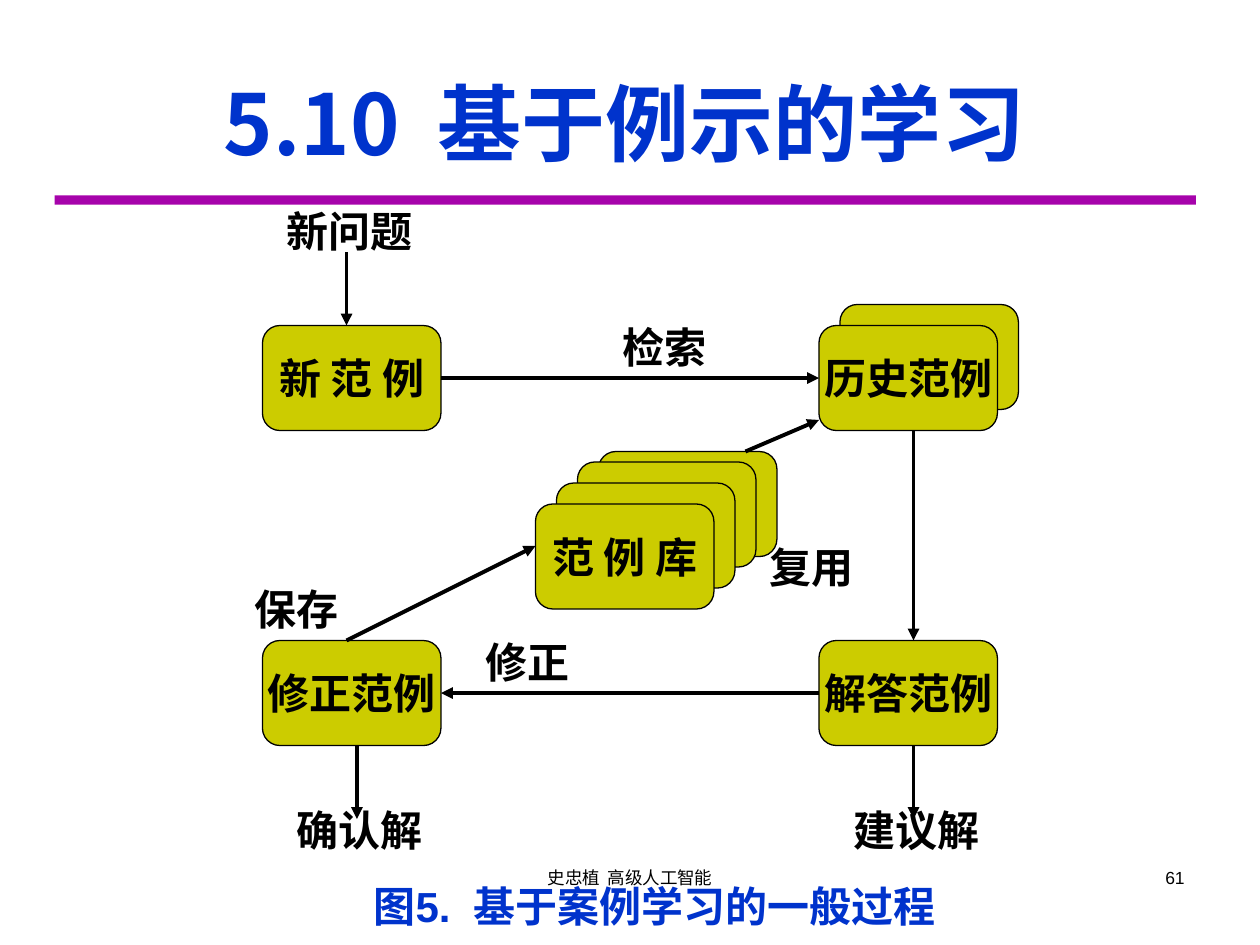
from lxml import etree
from pptx import Presentation
from pptx.dml.color import RGBColor
from pptx.enum.shapes import MSO_CONNECTOR, MSO_SHAPE
from pptx.enum.text import MSO_ANCHOR, MSO_AUTO_SIZE, PP_ALIGN
from pptx.oxml.ns import qn
from pptx.util import Emu, Pt

RECT = MSO_SHAPE.RECTANGLE
CARD = MSO_SHAPE.FLOWCHART_ALTERNATE_PROCESS
LINE = MSO_CONNECTOR.STRAIGHT
LEFT, MID, RIGHT = PP_ALIGN.LEFT, PP_ALIGN.CENTER, PP_ALIGN.RIGHT
MIDDLE, BOTTOM = MSO_ANCHOR.MIDDLE, MSO_ANCHOR.BOTTOM
FIXED, GROW = MSO_AUTO_SIZE.NONE, MSO_AUTO_SIZE.SHAPE_TO_FIT_TEXT
SCALE = 7620


def px(*nums):
    return [Emu(n * SCALE) for n in nums]


def tint(code):
    return RGBColor.from_string(code)


class Board:
    ink, blue, gold, plum = "000000", "0033CC", "CCCC00", "A603AB"
    serif, sans, han = "Times New Roman", "Arial", "Noto Sans CJK JP"
    wide, high = 170, 100

    def __init__(self, slide):
        self.slide = slide

    def run(self, para, text, size=24, face=serif, code=ink, bold=True):
        run = para.add_run()
        run.text = text
        font = run.font
        font.size, font.name, font.bold = Pt(size), face, bold
        font.color.rgb = tint(code)
        east = etree.SubElement(run._r.get_or_add_rPr(), qn("a:ea"))
        east.set("typeface", self.han)

    def title(self, x, y, w, h, parts):
        shape = self.slide.shapes.title
        shape.left, shape.top, shape.width, shape.height = px(x, y, w, h)
        frame = shape.text_frame
        frame.auto_size, frame.vertical_anchor = FIXED, BOTTOM
        para = frame.paragraphs[0]
        para.alignment = MID
        for text, face in parts:
            self.run(para, text, 48, face, self.blue)

    def shape(self, kind, x, y, w, h, fill):
        shape = self.slide.shapes.add_shape(kind, *px(x, y, w, h))
        shape.shadow.inherit = False
        shape.fill.solid()
        shape.fill.fore_color.rgb = tint(fill)
        return shape

    def bar(self, x, y, w, h):
        self.shape(RECT, x, y, w, h, self.plum).line.fill.background()

    def card(self, x, y, text=""):
        shape = self.shape(CARD, x, y, self.wide, self.high, self.gold)
        shape.line.color.rgb = tint(self.ink)
        shape.line.width = Pt(0.75)
        if text:
            frame = shape.text_frame
            frame.word_wrap, frame.vertical_anchor = False, MIDDLE
            para = frame.paragraphs[0]
            para.alignment = MID
            self.run(para, text)

    def label(self, x, y, w, text, wrap=False, **style):
        box = self.slide.shapes.add_textbox(*px(x, y, w, 60))
        frame = box.text_frame
        frame.word_wrap, frame.auto_size = wrap, GROW
        para = frame.paragraphs[0]
        para.alignment = LEFT
        self.run(para, text, **style)

    def foot(self, x, w, text, align):
        box = self.slide.shapes.add_textbox(*px(x, 820, w, 60))
        box.text_frame.word_wrap = True
        para = box.text_frame.paragraphs[0]
        para.alignment = align
        self.run(para, text, 10, self.sans, bold=False)

    def arrow(self, *ends):
        link = self.slide.shapes.add_connector(LINE, *px(*ends))
        link.line.color.rgb = tint(self.ink)
        link.line.width = Pt(2.25)
        tip = etree.SubElement(link.line._get_or_add_ln(), qn("a:tailEnd"))
        tip.set("type", "triangle")
        etree.SubElement(link._element.spPr, qn("a:effectLst"))


def main():
    deck = Presentation()
    deck.slide_width, deck.slide_height = px(1200, 900)
    board = Board(deck.slides.add_slide(deck.slide_layouts[5]))

    board.bar(52, 186, 1087, 9)
    board.title(60, 64, 1070, 106,
                [("5.10  ", board.han), ("基于例示的学习", board.sans)])
    board.foot(410, 380, "史忠植  高级人工智能", MID)
    board.foot(860, 280, "61", RIGHT)

    for card in [
        (570, 430), (550, 440), (530, 460), (510, 480, "范 例 库"),
        (250, 310, "新 范 例"), (250, 610, "修正范例"), (780, 610, "解答范例"),
        (800, 290), (780, 310, "历史范例"),
    ]:
        board.card(*card)

    for ends in [
        (330, 240, 330, 310), (420, 360, 780, 360), (870, 410, 870, 610),
        (870, 710, 870, 780), (780, 660, 420, 660), (340, 710, 340, 780),
        (330, 610, 510, 520), (710, 430, 780, 400),
    ]:
        board.arrow(*ends)

    for x, y, text in [
        (261, 190, "新问题"), (581, 300, "检索"), (801, 760, "建议解"),
        (271, 760, "确认解"), (451, 600, "修正"), (231, 550, "保存"),
        (721, 510, "复用"),
    ]:
        board.label(x, y, 24 + 40 * len(text), text)
    board.label(344, 833, 600, "图5.  基于案例学习的一般过程", wrap=True,
                face=board.sans, code=board.blue)

    deck.save("out.pptx")


if __name__ == "__main__":
    main()
